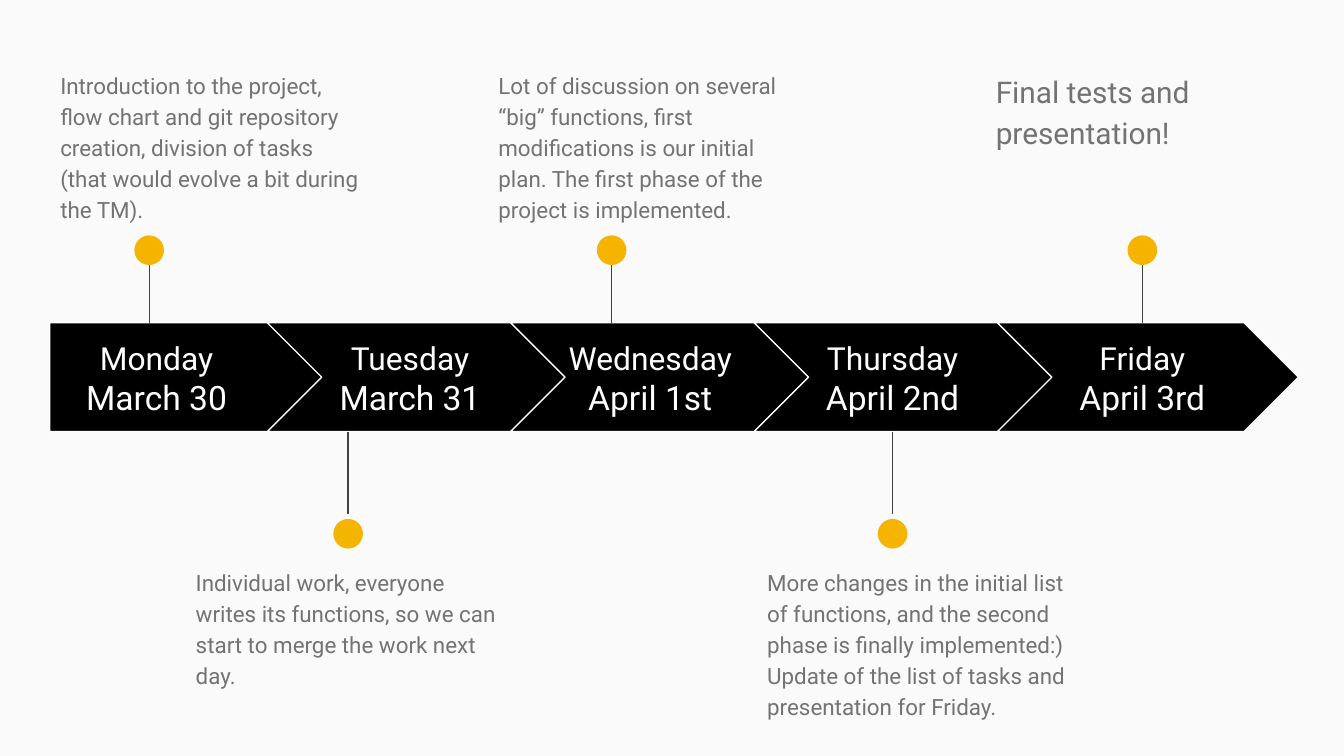
import pptx
import pptx.util
import pptx.dml.color
import pptx.enum.shapes
import pptx.enum.text
import pptx.oxml.ns
import lxml.etree

Cm = pptx.util.Cm
Pt = pptx.util.Pt
RGB = pptx.dml.color.RGBColor
Kind = pptx.enum.shapes.MSO_SHAPE
Align = pptx.enum.text.PP_ALIGN
Anchor = pptx.enum.text.MSO_ANCHOR

PAPER = RGB(0xFA, 0xFA, 0xFA)
BLACK = RGB(0, 0, 0)
WHITE = RGB(0xFF, 0xFF, 0xFF)
GREY = RGB(0x73, 0x73, 0x73)
STEM = RGB(0x42, 0x42, 0x42)
GOLD = RGB(0xF4, 0xB4, 0x00)

BAND_TOP, BAND_HIGH = 6.1, 2.06
STEP = 4.6
DOT = 0.56
STEM_LONG = 1.55


class Board:
    """Holds the style and the current slide."""

    font = "Roboto"
    thin = Pt(0.74)
    inset = Cm(0.25)

    def __init__(self, slide):
        """Take the slide and paint its background."""
        self.slide = slide
        slide.background.fill.solid()
        slide.background.fill.fore_color.rgb = PAPER

    def shape(self, kind, x, y, w, h, fill, line=None):
        """Add a flat preset shape, outlined if a line colour is given."""
        item = self.slide.shapes.add_shape(kind, Cm(x), Cm(y), Cm(w), Cm(h))
        item.shadow.inherit = False
        item.fill.solid()
        item.fill.fore_color.rgb = fill
        if line is None:
            item.line.fill.background()
        else:
            item.line.color.rgb = line
            item.line.width = self.thin

    def stem(self, x, top, end):
        """Add a thin upright line."""
        line = self.slide.shapes.add_connector(
            pptx.enum.shapes.MSO_CONNECTOR.STRAIGHT, Cm(x), Cm(top), Cm(x), Cm(end))
        line.line.color.rgb = STEM
        line.line.width = self.thin
        props = line._element.spPr
        lxml.etree.SubElement(props, pptx.oxml.ns.qn("a:effectLst"))

    def pin(self, x, above):
        """Add a stem with a dot, above or below the band."""
        if above:
            top = BAND_TOP - STEM_LONG
            dot = top - 0.1
        else:
            top = BAND_TOP + BAND_HIGH
            dot = top + STEM_LONG + 0.1
        self.stem(x, top, top + STEM_LONG)
        self.shape(Kind.OVAL, x - DOT / 2, dot, DOT, DOT, GOLD)

    def text(self, x, y, w, h, lines, color, align=Align.LEFT,
             anchor=Anchor.TOP, space=None, after=None):
        """Add a text box; lines are pairs of wording and size."""
        frame = self.slide.shapes.add_textbox(Cm(x), Cm(y), Cm(w), Cm(h)).text_frame
        frame.word_wrap = True
        frame.vertical_anchor = anchor
        frame.margin_left = frame.margin_right = self.inset
        frame.margin_top = frame.margin_bottom = self.inset
        for i, (words, size) in enumerate(lines):
            para = frame.add_paragraph() if i else frame.paragraphs[0]
            para.text = words
            para.alignment = align
            para.line_spacing = space
            para.space_after = after
            para.font.name = self.font
            para.font.size = Pt(size)
            para.font.color.rgb = color


# name, date, label left, pin x, note left, note height, note size, note
DAYS = [
    ("Monday", "March 30", 0.94, 2.82, 0.89, 3.25, 12,
     "Introduction to the project, flow chart and git repository creation, "
     "division of tasks (that would evolve a bit during the TM)."),
    ("Tuesday", "March 31", 5.92, 6.58, 3.45, 2.51, 12,
     "Individual work, everyone writes its functions, so we can start to "
     "merge the work next day."),
    ("Wednesday", "April 1st", 10.46, 11.56, 9.17, 3.07, 12,
     "Lot of discussion on several “big” functions, first modifications is "
     "our initial plan. The first phase of the project is implemented."),
    ("Thursday", "April 2nd", 15.04, 16.87, 14.25, 3.25, 12,
     "More changes in the initial list of functions, and the second phase is "
     "finally implemented:) Update of the list of tasks and presentation for "
     "Friday."),
    ("Friday", "April 3rd", 19.76, 21.59, 18.57, 2.51, 16,
     "Final tests and presentation!"),
]


def main():
    """Build the timeline and save it."""
    deck = pptx.Presentation()
    deck.slide_width, deck.slide_height = Cm(25.4), Cm(14.29)
    board = Board(deck.slides.add_slide(deck.slide_layouts[6]))
    for i, (name, date, left, pin, edge, high, size, note) in enumerate(DAYS):
        above = i % 2 == 0
        if i == 0:
            kind, x, wide, span = Kind.PENTAGON, 0.94, 5.21, 4.04
        else:
            kind, x, wide, span = Kind.CHEVRON, 0.45 + i * STEP, 5.69, 3.66
        board.shape(kind, x, BAND_TOP, wide, BAND_HIGH, BLACK, WHITE)
        board.text(left, 6.5, span, 1.3, [(name, 17), (date, 18)], WHITE,
                   Align.CENTER, Anchor.MIDDLE)
        board.pin(pin, above)
        board.text(edge, 1.04 if above else 10.44, 6.22, high, [(note, size)],
                   GREY, space=1.15, after=Pt(16))
    deck.save("out.pptx")


main()
